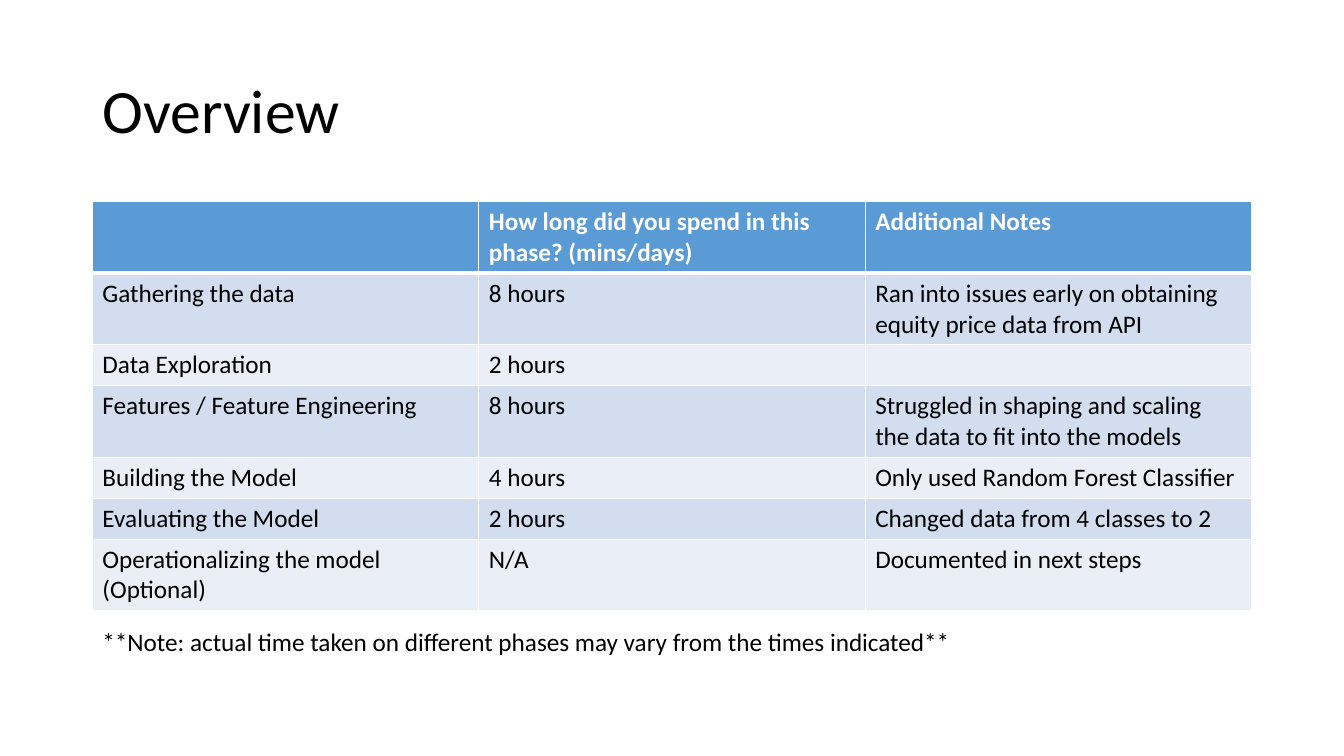
from dataclasses import dataclass

from lxml import etree
from pptx import Presentation
from pptx import util as u
from pptx.dml.color import RGBColor
from pptx.enum import text
from pptx.oxml import ns


@dataclass(frozen=True)
class Theme:
    font: str = "Calibri"
    ink: str = "000000"
    white: str = "FFFFFF"
    head: str = "5B9BD5"
    bands: tuple = ("D2DEEF", "EAEFF7")
    big: int = 44
    body: int = 18
    thin: int = 1
    thick: int = 3


T = Theme()
WIDE, HIGH = u.Inches(13.33), u.Inches(7.5)

HEADS = ("", "How long did you spend in this phase? (mins/days)", "Additional Notes")
PHASES = (
    ("Gathering the data", "8 hours",
     "Ran into issues early on obtaining equity price data from API"),
    ("Data Exploration", "2 hours", ""),
    ("Features / Feature Engineering", "8 hours",
     "Struggled in shaping and scaling the data to fit into the models"),
    ("Building the Model", "4 hours", "Only used Random Forest Classifier"),
    ("Evaluating the Model", "2 hours", "Changed data from 4 classes to 2"),
    ("Operationalizing the model (Optional)", "N/A", "Documented in next steps"),
)
NOTE = "**Note: actual time taken on different phases may vary from the times indicated**"


def share(left, top, width, height):
    """Turn shares of the slide into a box of lengths."""
    return (u.Emu(int(WIDE * left)), u.Emu(int(HIGH * top)),
            u.Emu(int(WIDE * width)), u.Emu(int(HIGH * height)))


def write(frame, words, size=T.body, color=T.ink, bold=False, lead=None):
    para = frame.paragraphs[0]
    para.alignment = text.PP_ALIGN.LEFT
    if lead:
        para.line_spacing = lead
    font = para.font
    if words:
        run = para.add_run()
        run.text = words
        font = run.font
    font.name, font.size, font.bold = T.font, u.Pt(size), bold
    font.color.rgb = RGBColor.from_string(color)


def edge(cell, top, bottom):
    """Draw the four white borders of a cell."""
    props = cell._tc.get_or_add_tcPr()
    sides = (("L", T.thin), ("R", T.thin), ("T", top), ("B", bottom))
    for spot, (side, width) in enumerate(sides):
        line = etree.Element(ns.qn(f"a:ln{side}"), w=str(u.Pt(width)))
        fill = etree.SubElement(line, ns.qn("a:solidFill"))
        etree.SubElement(fill, ns.qn("a:srgbClr"), val=T.white)
        props.insert(spot, line)


def title(slide, box, words):
    shape = slide.shapes.title
    shape.left, shape.top, shape.width, shape.height = box
    frame = shape.text_frame
    frame.auto_size = text.MSO_AUTO_SIZE.NONE
    frame.vertical_anchor = text.MSO_ANCHOR.MIDDLE
    write(frame, words, size=T.big, lead=0.9)


def table(slide, box, rows):
    grid = slide.shapes.add_table(len(rows), len(rows[0]), *box).table
    for r, row in enumerate(rows):
        head = r == 0
        shade = T.head if head else T.bands[(r - 1) % 2]
        for c, words in enumerate(row):
            cell = grid.cell(r, c)
            cell.fill.solid()
            cell.fill.fore_color.rgb = RGBColor.from_string(shade)
            edge(cell, T.thick if r == 1 else T.thin, T.thick if head else T.thin)
            write(cell.text_frame, words, bold=head,
                  color=T.white if head else T.ink)


def note(slide, box, words):
    frame = slide.shapes.add_textbox(*box).text_frame
    frame.word_wrap = True
    write(frame, words)


def build():
    deck = Presentation()
    deck.slide_width, deck.slide_height = WIDE, HIGH
    slide = deck.slides.add_slide(deck.slide_layouts[5])
    left, span = 0.06875, 0.8625

    # Heading
    title(slide, share(left, 0.0533, span, 0.1933), "Overview")
    # Time spent per phase; rows grow to fit their text
    table(slide, share(left, 0.2667, span, 0.3783), (HEADS, *PHASES))
    # Footnote
    note(slide, share(left, 0.8213, 0.6587, 0.0533), NOTE)
    deck.save("out.pptx")


build()
